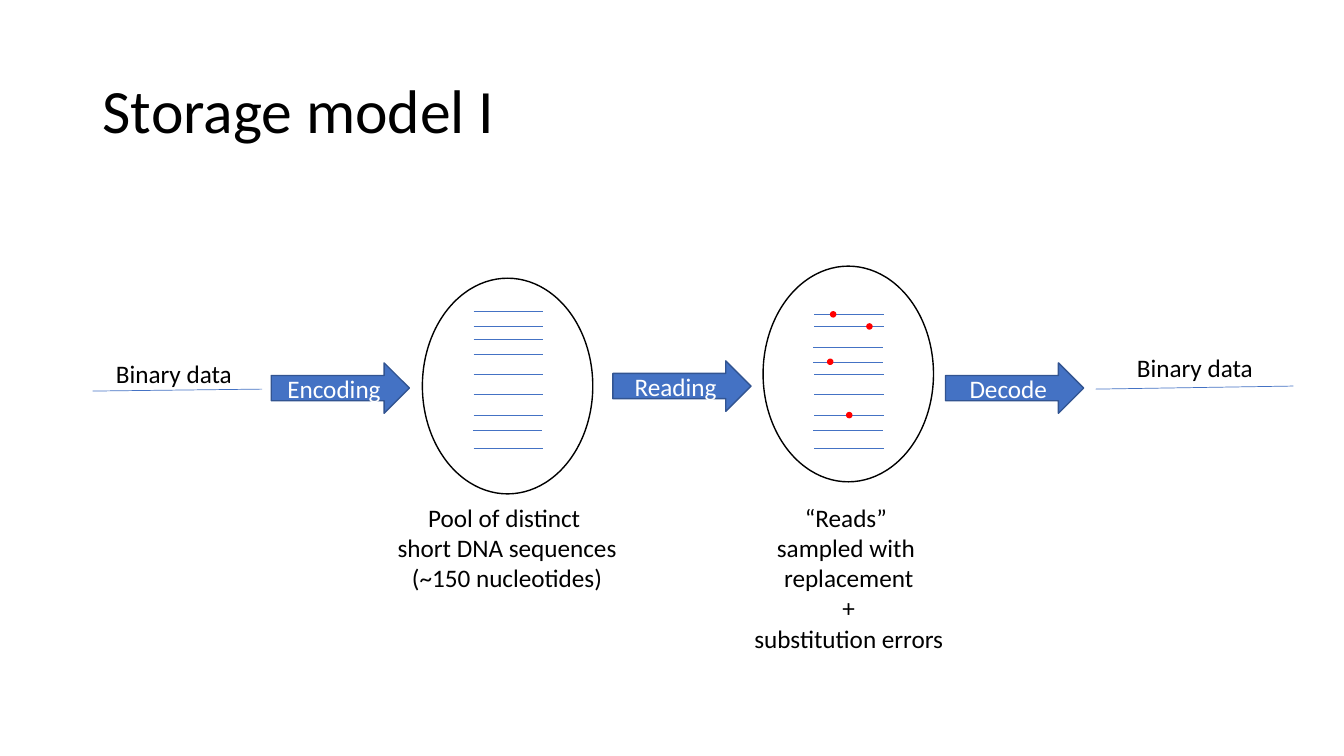
import pptx
import pptx.util
import pptx.dml.color
import pptx.enum.shapes
import pptx.enum.text
import pptx.oxml

THEME = {
    "font": "Calibri",
    "title_size": 44,
    "body_size": 18,
    "black": "000000",
    "white": "FFFFFF",
    "blue": "4472C4",
    "dark_blue": "325491",
    "red": "FF0000",
    "thin": 0.5,
    "outline": 1,
}

presentation = pptx.Presentation()
presentation.slide_width = pptx.util.Inches(13.333)
presentation.slide_height = pptx.util.Inches(7.5)
column = presentation.slide_width / 100
row = presentation.slide_height / 100
slide = presentation.slides.add_slide(presentation.slide_layouts[6])
shapes = slide.shapes
rgb = pptx.dml.color.RGBColor.from_string
shape_type = pptx.enum.shapes.MSO_SHAPE
alignment = pptx.enum.text.PP_ALIGN
anchor = pptx.enum.text.MSO_ANCHOR


def write(shape, text, size, color, align):
    shape.text_frame.text = text
    for paragraph in shape.text_frame.paragraphs:
        paragraph.alignment = align
        for run in paragraph.runs:
            run.font.name = THEME["font"]
            run.font.size = pptx.util.Pt(size)
            run.font.color.rgb = rgb(color)


def place(kind, left, top, width, height, fill, outline):
    shape = shapes.add_shape(kind, int(left * column), int(top * row),
                             int(width * column), int(height * row))
    shape.shadow.inherit = False
    if fill:
        shape.fill.solid()
        shape.fill.fore_color.rgb = rgb(fill)
    else:
        shape.fill.background()
    shape.line.color.rgb = rgb(outline)
    shape.line.width = pptx.util.Pt(THEME["outline"])
    return shape


title = shapes.add_textbox(int(6.9 * column), int(5.33 * row),
                           int(86.25 * column), int(19.33 * row))
title.text_frame.word_wrap = True
title.text_frame.vertical_anchor = anchor.MIDDLE
write(title, "Storage model I", THEME["title_size"], THEME["black"], alignment.LEFT)
title.text_frame.paragraphs[0].line_spacing = 0.9

for left, top in [(31.43, 36.8), (56.78, 35.2)]:
    place(shape_type.OVAL, left, top, 12.68, 28.53, None, THEME["black"])

for label, left, top in [("Encoding", 20.18, 48), ("Reading", 45.6, 47.73), ("Decode", 70.35, 48)]:
    arrow = place(shape_type.RIGHT_ARROW, left, top, 10.28, 6.67, THEME["blue"], THEME["dark_blue"])
    arrow.text_frame.vertical_anchor = anchor.MIDDLE
    write(arrow, label, THEME["body_size"], THEME["white"], alignment.CENTER)

captions = [
    ("Binary data", 7.88, 46.67, 10.28, 5.33, alignment.LEFT),
    ("Binary data", 83.85, 46, 10.28, 5.33, alignment.LEFT),
    ("Pool of distinct \nshort DNA sequences\n(~150 nucleotides)",
     28.73, 65.73, 18, 13.47, alignment.CENTER),
    ("“Reads” \nsampled with \nreplacement\n+\nsubstitution errors",
     55.28, 65.73, 15.75, 21.6, alignment.CENTER),
]
for text, left, top, width, height, align in captions:
    caption = shapes.add_textbox(int(left * column), int(top * row),
                                 int(width * column), int(height * row))
    caption.text_frame.word_wrap = False
    caption.text_frame.auto_size = pptx.enum.text.MSO_AUTO_SIZE.SHAPE_TO_FIT_TEXT
    write(caption, text, THEME["body_size"], THEME["black"], align)

shared_rows = [49.47, 52.13, 54.93, 56.93, 59.33]
pool_rows = [41.2, 43.2, 44.93, 46.93] + shared_rows
read_rows = [41.6, 43.2, 46, 47.87] + shared_rows
strand_length = 5.18
lines = [(6.9, 51.73, 19.5, 51.47), (81.53, 51.47, 96.23, 51.07)]
for start, strand_rows, shifted in [(35.25, pool_rows, {7}), (60.6, read_rows, {2, 3, 7})]:
    for index, level in enumerate(strand_rows):
        left = start - 0.07 if index in shifted else start
        lines.append((left, level, left + strand_length, level))

for left, top, right, bottom in lines:
    line = shapes.add_connector(pptx.enum.shapes.MSO_CONNECTOR.STRAIGHT,
                                int(left * column), int(top * row),
                                int(right * column), int(bottom * row))
    line.line.color.rgb = rgb(THEME["blue"])
    line.line.width = pptx.util.Pt(THEME["thin"])
    line._element.spPr.append(pptx.oxml.parse_xml(
        '<a:effectLst xmlns:a="http://schemas.openxmlformats.org/drawingml/2006/main"/>'))

for left, strand in [(61.8, 0), (64.5, 1), (61.58, 3), (63, 6)]:
    place(shape_type.OVAL, left, read_rows[strand] - 0.35, 0.38, 0.67, THEME["red"], THEME["red"])

presentation.save("out.pptx")
